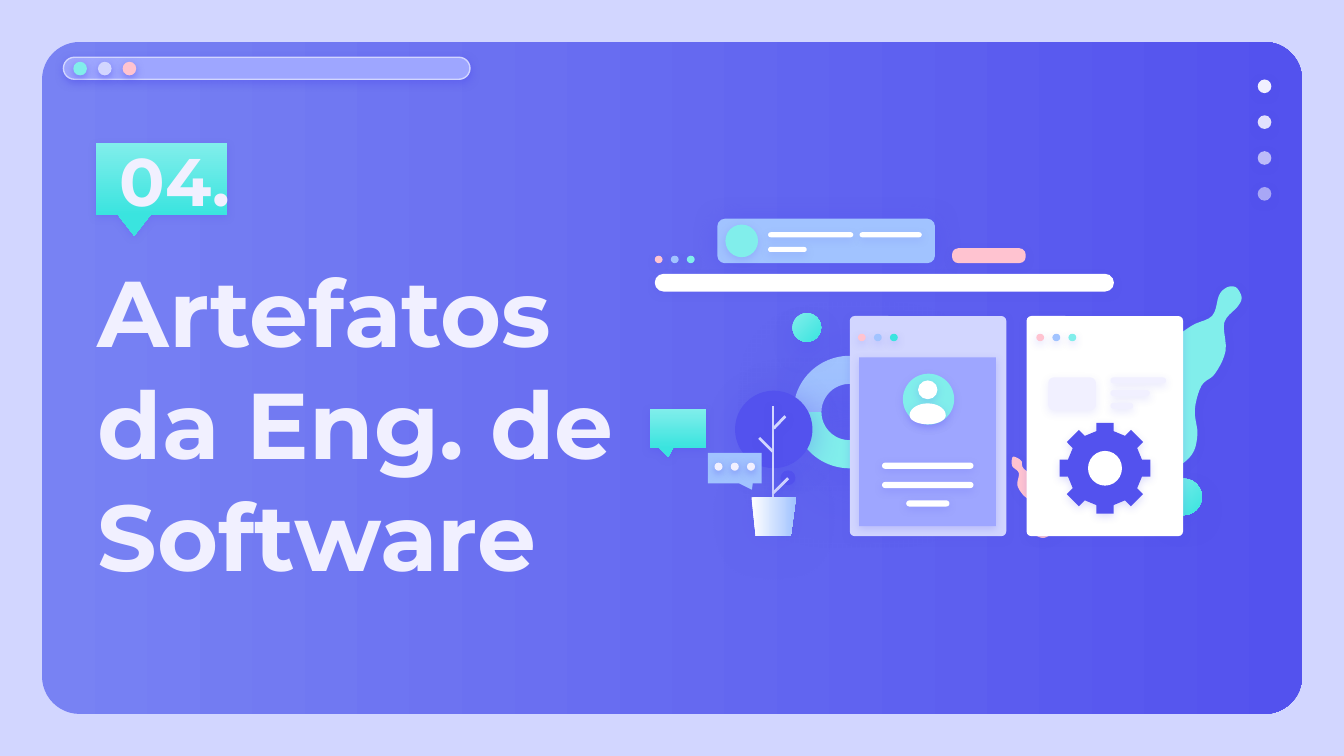
from math import cos, sin, radians
from lxml import etree
from pptx import Presentation
from pptx.dml.color import RGBColor
from pptx.enum.shapes import MSO_CONNECTOR, MSO_SHAPE
from pptx.enum.text import MSO_ANCHOR
from pptx.oxml.ns import qn
from pptx.util import Pt

ROUND = MSO_SHAPE.ROUNDED_RECTANGLE
RECT = MSO_SHAPE.RECTANGLE
OVAL = MSO_SHAPE.OVAL
ARC = MSO_SHAPE.BLOCK_ARC
CALL = MSO_SHAPE.ROUNDED_RECTANGULAR_CALLOUT
LINE = MSO_CONNECTOR.STRAIGHT
MID = MSO_ANCHOR.MIDDLE
LOW = MSO_ANCHOR.BOTTOM
FREE = "free"
WHITE, PALE, LILAC, MAUVE = "FFFFFF", "F1F0FF", "D2D6FF", "9EA6FF"
DEEP, SKY, MINT, TEAL, PINK = "5352EE", "A1C3FF", "81EEEB", "3AE4DF", "FFC3D0"
DOWN = (MINT, TEAL, 270)
SLANT = (MINT, TEAL, 315)

deck = Presentation()
deck.slide_width, deck.slide_height = Pt(720), Pt(405)
slide = deck.slides.add_slide(deck.slide_layouts[6])
slide.background.fill.solid()
slide.background.fill.fore_color.rgb = RGBColor.from_string(LILAC)


def draw(kind, box, fill, fade=18, adj=(), blur=4.5, dist=1.5, turn=90, edge=None, width=0.75):
    if kind is FREE:
        spots = [(Pt(x), Pt(y)) for x, y in box]
        pen = slide.shapes.build_freeform(*spots[0])
        pen.add_line_segments(spots[1:])
        item = pen.convert_to_shape()
    elif kind is LINE:
        item = slide.shapes.add_connector(LINE, *map(Pt, box))
    else:
        item = slide.shapes.add_shape(kind, *map(Pt, box))
        for i, part in enumerate(adj):
            item.adjustments[i] = part
    if isinstance(fill, tuple):
        item.fill.gradient()
        item.fill.gradient_angle = fill[2]
        for stop, tone in zip(item.fill.gradient_stops, fill):
            stop.color.rgb = RGBColor.from_string(tone)
    elif fill:
        item.fill.solid()
        item.fill.fore_color.rgb = RGBColor.from_string(fill)
    if edge:
        item.line.color.rgb = RGBColor.from_string(edge)
        item.line.width = Pt(width)
    else:
        item.line.fill.background()
    glow = etree.SubElement(item._element.spPr, qn("a:effectLst"))
    if fade:
        cast = etree.SubElement(glow, qn("a:outerShdw"), blurRad=str(Pt(blur)), dist=str(Pt(dist)),
                                dir=str(turn * 60000), algn="bl", rotWithShape="0")
        tone = etree.SubElement(cast, qn("a:srgbClr"), val=DEEP)
        etree.SubElement(tone, qn("a:alpha"), val=str(fade * 1000))
    return item


def write(text, box, size, anchor, color=PALE, font="Montserrat", bold=True):
    frame = slide.shapes.add_textbox(*map(Pt, box)).text_frame
    frame.word_wrap = True
    frame.vertical_anchor = anchor
    frame.margin_left = frame.margin_right = frame.margin_top = frame.margin_bottom = Pt(7.2)
    frame.text = text
    for para in frame.paragraphs:
        face = para.runs[0].font
        face.name, face.size, face.bold = font, Pt(size), bold
        face.color.rgb = RGBColor.from_string(color)


draw(ROUND, (22.5, 22.5, 675, 360), ("7882F3", DEEP, 0), 0, [0.056])
draw(ROUND, (34, 30.7, 217.8, 11.8), MAUVE, 50, [0.5], edge=LILAC)
for i, tone in enumerate([MINT, LILAC, PINK]):
    draw(OVAL, (39.3 + 13.2 * i, 33.1, 7.3, 7.3), tone, 50)
for i, share in enumerate([100, 90, 67, 54]):
    dot = draw(OVAL, (673.8, 42.6 + 19.2 * i, 7.3, 7.3), PALE, 50)
    tone = dot._element.spPr.find(qn("a:solidFill"))[0]
    etree.SubElement(tone, qn("a:alpha"), val=str(share * 1000))

draw(CALL, (51.5, 76.7, 70.1, 38.4), DOWN, 24, [-0.209, 0.79, 0])
write("Artefatos da Eng. de\nSoftware", (45.4, 169.2, 302.4, 113.8), 50, MID)
write("04.", (56.9, 93.6, 116.6, 31.7), 36, LOW)

blobs = [
    (PINK, [(543.6, 244.8), (542.2, 245.5), (542.3, 249.8), (545.8, 253.4), (545, 259.9), (547.9, 265),
            (550.8, 267.8), (553, 273.6), (552.2, 280.1), (553, 285.1), (557.3, 288), (561.6, 287.3),
            (568.8, 281.5), (565.2, 267.8), (561.6, 265.7), (558.7, 258.5), (548.6, 251.3), (547.2, 247)]),
    (MINT, [(660.2, 153.4), (663.1, 154.8), (665.2, 159.6), (663, 164.3), (655.9, 172.8), (656.6, 187.9),
            (650.9, 200.2), (643.7, 206.6), (640.1, 219.6), (641.5, 232.6), (638.6, 243.4), (629.3, 250.6),
            (619.2, 249.8), (603.4, 236.9), (602, 220.2), (611.3, 206.6), (619.2, 200.9), (625.7, 185),
            (638.1, 174.7), (649.4, 169.2), (653, 158.4), (656.5, 154.4)]),
]
for tone, knots in blobs:
    curve = []
    for i in range(len(knots)):
        a, b, c, d = [knots[(i + k) % len(knots)] for k in range(-1, 3)]
        for t in (0, 0.2, 0.4, 0.6, 0.8):
            curve.append([q + t / 2 * (r - p + t * (2 * p - 5 * q + 4 * r - s + t * (3 * q - p - 3 * r + s)))
                          for p, q, r, s in zip(a, b, c, d)])
    draw(FREE, curve, tone, 22)

draw(ROUND, (384.3, 117.2, 116.6, 23.8), SKY, 50, [0.167], blur=14.6)
for x, y, w in [(411.5, 124.4, 45.6), (460.5, 124.4, 33.3), (411.5, 132.3, 20.7)]:
    draw(ROUND, (x, y, w, 2.7), WHITE, 14, [0.5])
draw(OVAL, (388.6, 120.3, 17.5, 17.5), MINT)
draw(ROUND, (510, 133, 39.5, 8), PINK, 24, [0.423])
draw(CALL, (348.3, 219.1, 29.8, 20.8), DOWN, 31, [-0.174, 0.731, 0])

for tone, start, end in [(SKY, 108, 0), (MINT, 0, 108)]:
    draw(ARC, (425, 190.6, 60.3, 60.3), tone, 67, [start, end, 0.25], 38.2, 9, 49)
draw(OVAL, (393.8, 209.3, 41.5, 41.5), DEEP, 36, blur=16.9)
draw(OVAL, (418.2, 252, 7.9, 7.9), DEEP, 26)
for ends in [(414.1, 217.5, 414.1, 266.4), (406.7, 234.6, 414.1, 242),
             (420.7, 223, 414.5, 229.5), (422.2, 256.2, 414.1, 264.3)]:
    draw(LINE, ends, None, 28, edge=LILAC, width=1.5)
draw(FREE, [(402.6, 266.4), (426.4, 266.4), (423.6, 287.3), (404.9, 287.3)], (WHITE, SKY, 0), 24, blur=25.9)
draw(CALL, (379.3, 242.6, 28.8, 16.4), SKY, 0, [0.317, 0.706, 0])
for i in range(3):
    draw(OVAL, (382.8 + 8.7 * i, 247.9, 4.3, 4.3), PALE, 50)
for x, y, size in [(624.3, 256.4, 19.6), (424.6, 167.8, 15.3)]:
    draw(OVAL, (x, y, size, size), SLANT, 38, blur=12.4, dist=6.8)

draw(ROUND, (350.8, 146.7, 246, 9.5), WHITE, adj=[0.5])
draw(ROUND, (550, 169.3, 83.8, 117.9), WHITE, adj=[0.03])
draw(ROUND, (455.3, 169.3, 83.8, 117.9), LILAC, adj=[0.03])
draw(RECT, (460.2, 191.4, 73.4, 90.5), MAUVE)
for x, y, last in [(350.8, 137, MINT), (555.2, 178.8, MINT), (459.6, 178.8, TEAL)]:
    for i, tone in enumerate([PINK, SKY, last]):
        draw(OVAL, (x + 8.6 * i, y, 4.2, 4), tone)

gear = []
for turn in range(0, 360, 45):
    c, s = cos(radians(turn)), sin(radians(turn))
    for x, y in [(-4.6, -19.8), (-4.6, -24.3), (4.6, -24.3), (4.6, -19.8)]:
        gear.append((592 + x * c - y * s, 250.8 + x * s + y * c))
draw(FREE, gear, DEEP)
draw(OVAL, (582.9, 241.6, 18.2, 18.6), WHITE, 0)

for x, y, w in [(472.5, 247.9, 49), (472.5, 258.2, 49), (485.5, 268.1, 23.2)]:
    draw(ROUND, (x, y, w, 3.3), WHITE, adj=[0.5])
draw(OVAL, (483.7, 200.2, 27.5, 27.3), MINT)
draw(OVAL, (491.8, 203.8, 10.4, 10.1), WHITE)
body = [(497 + 9.7 * cos(radians(a)), 222.5 + 6.4 * sin(radians(a))) for a in range(180, 361, 10)]
body += [(497 + 9.7 * cos(radians(a)), 222.5 + 4.8 * sin(radians(a))) for a in range(10, 180, 10)]
draw(FREE, body, WHITE)
draw(ROUND, (561.6, 202.2, 25.5, 17.6), PALE, 9, [0.167])
for i, w in enumerate([29.8, 21.1, 12.2]):
    draw(ROUND, (594.9, 202.2 + 6.8 * i, w, 3.2), PALE, 14, [0.5])

deck.save("out.pptx")
